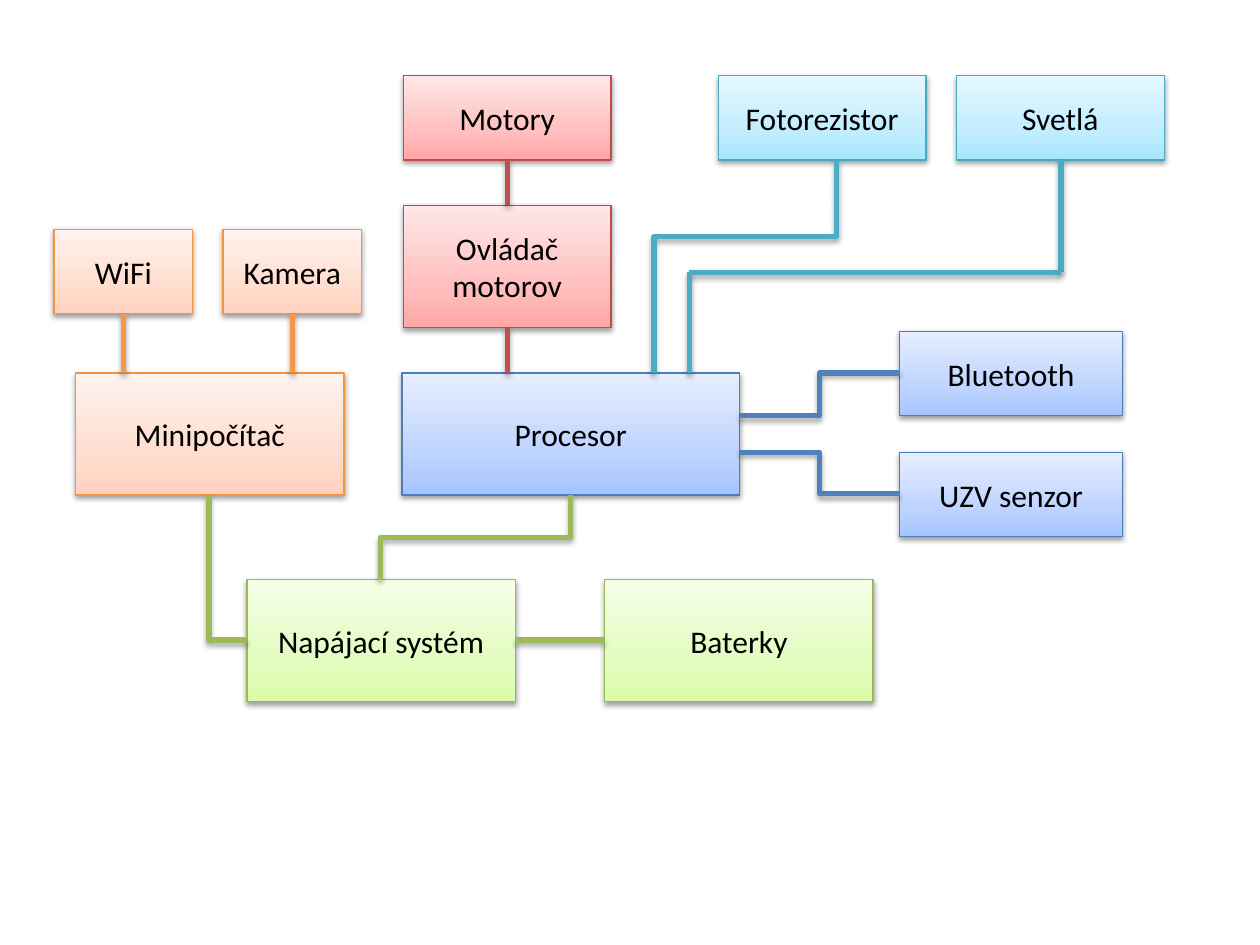
from copy import deepcopy
from dataclasses import dataclass

from lxml import etree
from pptx import Presentation
from pptx import util as u
from pptx.dml.color import RGBColor
from pptx.enum import shapes, text
from pptx.oxml.ns import qn

PX = 9144


@dataclass(frozen=True)
class Tone:
    stops: tuple
    edge: str
    wire: str


class Theme:
    font, size, ink = "Calibri", u.Pt(18), "000000"
    edge_width, wire_width = u.Pt(0.75), u.Pt(3)
    blue = Tone(("A4C4FF", "BFD4FF", "E6EEFF"), "4B7EBC", "4F81BD")
    red = Tone(("FFA6A5", "FFC0BF", "FFE7E7"), "BF4C48", "C0504D")
    orange = Tone(("FFD2BD", "FFDED0", "FFF2ED"), "F69240", "F79646")
    cyan = Tone(("A7E6FF", "C1EDFF", "E7F8FF"), "46AAC5", "4BACC6")
    green = Tone(("DAFDA7", "E4FCC2", "F5FFE7"), "98B955", "9BBB59")


def rgb(color):
    return RGBColor.from_string(color)


def add_shadow(effects, dist, alpha):
    shadow = etree.SubElement(effects, qn("a:outerShdw"), blurRad="40000", dist=str(dist),
                              dir="5400000", rotWithShape="0")
    color = etree.SubElement(shadow, qn("a:srgbClr"), val=Theme.ink)
    etree.SubElement(color, qn("a:alpha"), val=str(alpha * 1000))


def node(s, box, x, y, w, h, label, tone):
    sp = s.shapes.add_shape(shapes.MSO_SHAPE.RECTANGLE,
                            *(v * PX for v in (box[0] + x, box[1] + y, w, h)))
    sp.fill.gradient()
    sp.fill.gradient_angle = 90
    stops = next(sp._element.spPr.iter(qn("a:gsLst")))
    stops.append(deepcopy(stops[0]))
    for stop, color, pos in zip(sp.fill.gradient_stops, tone.stops, (0, 0.35, 1)):
        stop.color.rgb = rgb(color)
        stop.position = pos
    sp.line.color.rgb = rgb(tone.edge)
    sp.line.width = Theme.edge_width
    sp.shadow.inherit = False
    add_shadow(sp._element.spPr.find(qn("a:effectLst")), 20000, 38)
    tf = sp.text_frame
    tf.word_wrap = True
    tf.vertical_anchor = text.MSO_ANCHOR.MIDDLE
    p = tf.paragraphs[0]
    p.text = label
    p.alignment = text.PP_ALIGN.CENTER
    r = p.runs[0]
    r.font.name, r.font.size = Theme.font, Theme.size
    r.font.color.rgb = rgb(Theme.ink)


def wire(s, box, x1, y1, x2, y2, tone, kind=shapes.MSO_CONNECTOR.STRAIGHT):
    c = s.shapes.add_connector(kind, *(v * PX for v in (
        box[0] + x1, box[1] + y1, box[0] + x2, box[1] + y2)))
    c.line.color.rgb = rgb(tone.wire)
    c.line.width = Theme.wire_width
    add_shadow(etree.SubElement(c._element.spPr, qn("a:effectLst")), 23000, 35)
    return c


def elbow(s, box, x1, y1, x2, y2, tone):
    return wire(s, box, x1, y1, x2, y2, tone, shapes.MSO_CONNECTOR.ELBOW)


def drop(s, box, x1, y1, x2, y2, tone, bend=0.5):
    c = elbow(s, box, x1, y1, x2, y2, tone)
    w, h = c.width, c.height
    c.left, c.top = c.left + (w - h) // 2, c.top + (h - w) // 2
    c.width, c.height = h, w
    xfrm = c._element.spPr.find(qn("a:xfrm"))
    xfrm.attrib.clear()
    xfrm.set("rot", "16200000" if x2 > x1 else "5400000")
    if x2 > x1:
        xfrm.set("flipH", "1")
    geom = c._element.spPr.find(qn("a:prstGeom"))
    if bend == 1:
        geom.set("prst", "bentConnector2")
    else:
        guides = geom.find(qn("a:avLst"))
        etree.SubElement(guides, qn("a:gd"), name="adj1", fmla=f"val {round(bend * 100000)}")


def control(s, box):
    tone = Theme.blue
    node(s, box, 0, 33, 268, 97, "Procesor", tone)
    for y, end, start, label in ((0, 33, 67, "Bluetooth"), (96, 129, 96, "UZV senzor")):
        node(s, box, 395, y, 177, 67, label, tone)
        elbow(s, box, 395, end, 268, start, tone)


def motors(s, box):
    tone = Theme.red
    node(s, box, 0, 103, 165, 97, "Ovládač motorov", tone)
    node(s, box, 0, 0, 165, 67, "Motory", tone)
    for y in (67, 200):
        wire(s, box, 83, y, 83, y + 36, tone)


def computer(s, box):
    tone = Theme.orange
    node(s, box, 17, 114, 213, 97, "Minipočítač", tone)
    for x, label in ((0, "WiFi"), (134, "Kamera")):
        node(s, box, x, 0, 110, 67, label, tone)
        wire(s, box, x + 55, 67, x + 55, 114, tone)


def lights(s, box):
    tone = Theme.cyan
    for x, label in ((51, "Fotorezistor"), (240, "Svetlá")):
        node(s, box, x, 0, 165, 67, label, tone)
    drop(s, box, 145, 67, 0, 236, tone, 0.36)
    corners = ((323, 67), (323, 156), (28, 156), (28, 236))
    for start, end in zip(corners, corners[1:]):
        wire(s, box, *start, *end, tone)


def power(s, box):
    tone = Theme.green
    for x, label in ((30, "Napájací systém"), (314, "Baterky")):
        node(s, box, x, 67, 213, 97, label, tone)
    drop(s, box, 0, 0, 30, 115, tone, 1)
    drop(s, box, 287, 0, 136, 67, tone)
    wire(s, box, 314, 115, 243, 115, tone)


def main():
    prs = Presentation()
    prs.slide_width, prs.slide_height = 1000 * PX, 750 * PX
    s = prs.slides.add_slide(prs.slide_layouts[6])
    control(s, (319, 263))
    motors(s, (320, 60))
    computer(s, (43, 182))
    lights(s, (519, 60))
    power(s, (166, 393))
    prs.save("out.pptx")


if __name__ == "__main__":
    main()
